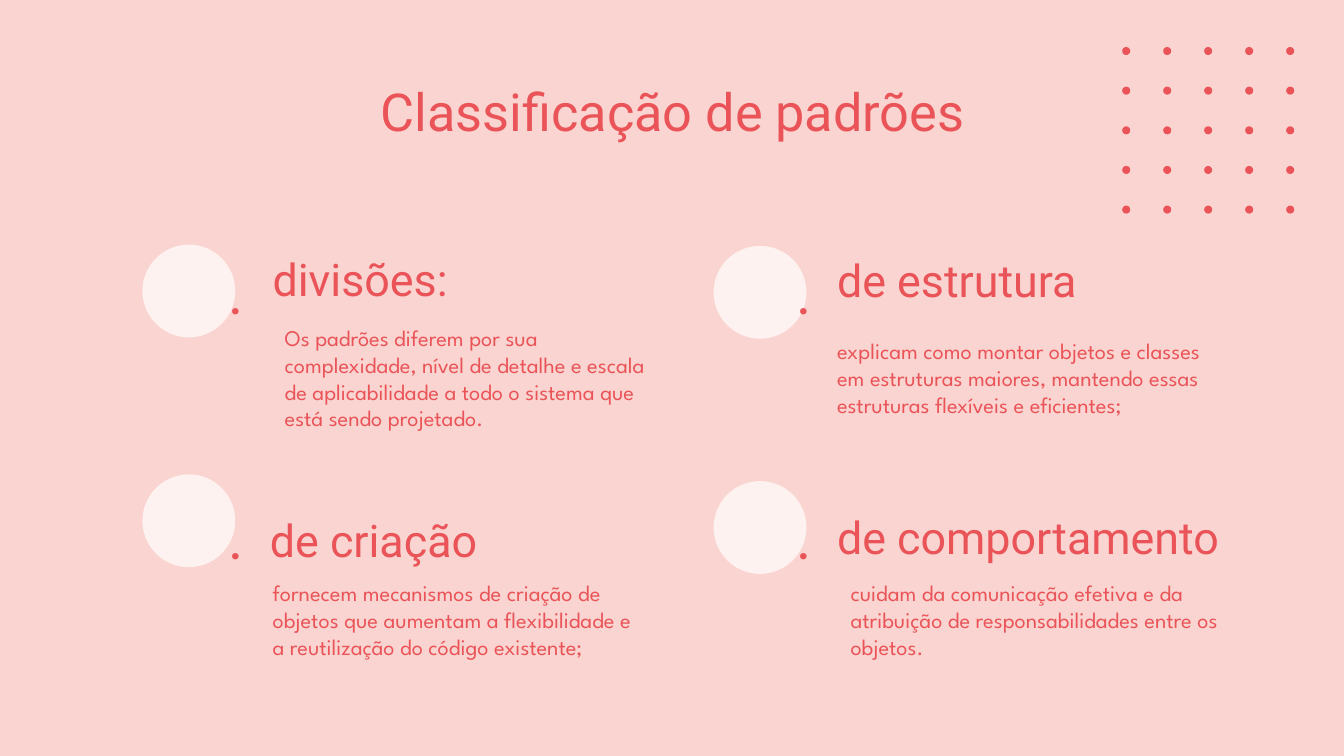
from dataclasses import dataclass
from itertools import product

from pptx import Presentation
from pptx.dml.color import RGBColor
from pptx.enum.shapes import MSO_SHAPE
from pptx.enum.text import MSO_ANCHOR, MSO_AUTO_SIZE, PP_ALIGN
from pptx.util import Emu, Pt

OVAL = MSO_SHAPE.OVAL
TOP, MIDDLE = MSO_ANCHOR.TOP, MSO_ANCHOR.MIDDLE
LEFT, CENTER, RIGHT = PP_ALIGN.LEFT, PP_ALIGN.CENTER, PP_ALIGN.RIGHT
FIXED = MSO_AUTO_SIZE.NONE
TITLE_ONLY = 5
EMU_PER_PX = 914400 // 200


@dataclass(frozen=True)
class Theme:
    background: RGBColor = RGBColor(0xF9, 0xD4, 0xD0)
    accent: RGBColor = RGBColor(0xEA, 0x54, 0x58)
    pale: RGBColor = RGBColor(0xFE, 0xF2, 0xF0)
    display: str = "Roboto"
    text: str = "League Spartan"
    title_size: int = 28
    heading_size: int = 24
    marker_size: int = 31
    body_size: int = 12
    body_leading: float = 14.4


def px(length):
    return Emu(length * EMU_PER_PX)


def apply_format(target, values):
    for name, value in values.items():
        setattr(target, name, value)


class SlideBuilder:
    def __init__(self, slide, theme):
        self.slide = slide
        self.theme = theme
        fill = slide.background.fill
        fill.solid()
        fill.fore_color.rgb = theme.background

    def set_text(self, shape, wording, font, size, align=LEFT, anchor=MIDDLE, leading=None):
        margins = {f"margin_{side}": px(20) for side in ("left", "top", "right", "bottom")}
        frame = shape.text_frame
        frame.text = wording
        apply_format(frame, {"word_wrap": True, "auto_size": FIXED, "vertical_anchor": anchor, **margins})
        paragraph = frame.paragraphs[0]
        apply_format(paragraph, {"alignment": align, "line_spacing": leading})
        run_font = paragraph.runs[0].font
        apply_format(run_font, {"name": font, "size": Pt(size)})
        run_font.color.rgb = self.theme.accent

    def title(self, box, wording):
        heading = self.slide.shapes.title
        apply_format(heading, dict(zip(("left", "top", "width", "height"), map(px, box))))
        self.set_text(heading, wording, self.theme.display, self.theme.title_size, CENTER, TOP)

    def text(self, box, wording, font, size, **layout):
        self.set_text(self.slide.shapes.add_textbox(*map(px, box)), wording, font, size, **layout)

    def heading(self, box, wording):
        self.text(box, wording, self.theme.display, self.theme.heading_size)

    def marker(self, box):
        self.text(box, ".", self.theme.display, self.theme.marker_size, align=RIGHT)

    def body(self, box, wording):
        self.text(box, wording, self.theme.text, self.theme.body_size, leading=Pt(self.theme.body_leading))

    def circle(self, left, top, diameter, color):
        disc = self.slide.shapes.add_shape(OVAL, *map(px, (left, top, diameter, diameter)))
        disc.shadow.inherit = False
        disc.fill.solid()
        disc.fill.fore_color.rgb = color
        disc.line.fill.background()

    def dot_grid(self, left, top, step_x, step_y, count, diameter):
        for column, row in product(range(count), repeat=2):
            self.circle(left + column * step_x, top + row * step_y, diameter, self.theme.accent)


CATEGORIES = [
    {
        "circle": (212, 364),
        "marker": (174, 378),
        "heading": ((386, 378, 596, 74), "divisões:"),
        "body": (
            (404, 468, 596, 188),
            "Os padrões diferem por sua complexidade, nível de detalhe e escala "
            "de aplicabilidade a todo o sistema que está sendo projetado.",
        ),
    },
    {
        "circle": (212, 706),
        "marker": (174, 742),
        "heading": ((382, 752, 596, 102), "de criação"),
        "body": (
            (386, 816, 596, 212),
            "fornecem mecanismos de criação de objetos que aumentam a "
            "flexibilidade e a reutilização do código existente;",
        ),
    },
    {
        "circle": (1062, 366),
        "marker": (1020, 378),
        "heading": ((1226, 360, 598, 112), "de estrutura"),
        "body": (
            (1226, 456, 598, 212),
            "explicam como montar objetos e classes em estruturas maiores, "
            "mantendo essas estruturas flexíveis e eficientes;",
        ),
    },
    {
        "circle": (1062, 716),
        "marker": (1020, 742),
        "heading": ((1226, 742, 718, 112), "de comportamento"),
        "body": (
            (1246, 828, 598, 188),
            "cuidam da comunicação efetiva e da atribuição de "
            "responsabilidades entre os objetos.",
        ),
    },
]


def main():
    theme = Theme()
    deck = Presentation()
    apply_format(deck, {"slide_width": px(2000), "slide_height": px(1125)})
    builder = SlideBuilder(deck.slides.add_slide(deck.slide_layouts[TITLE_ONLY]), theme)

    builder.dot_grid(1670, 70, 61, 59, 5, 12)
    builder.title((158, 98, 1686, 126), "Classificação de padrões")
    for category in CATEGORIES:
        builder.circle(*category["circle"], 138, theme.pale)
        builder.marker((*category["marker"], 208, 112))
        builder.heading(*category["heading"])
        builder.body(*category["body"])

    deck.save("out.pptx")


if __name__ == "__main__":
    main()
